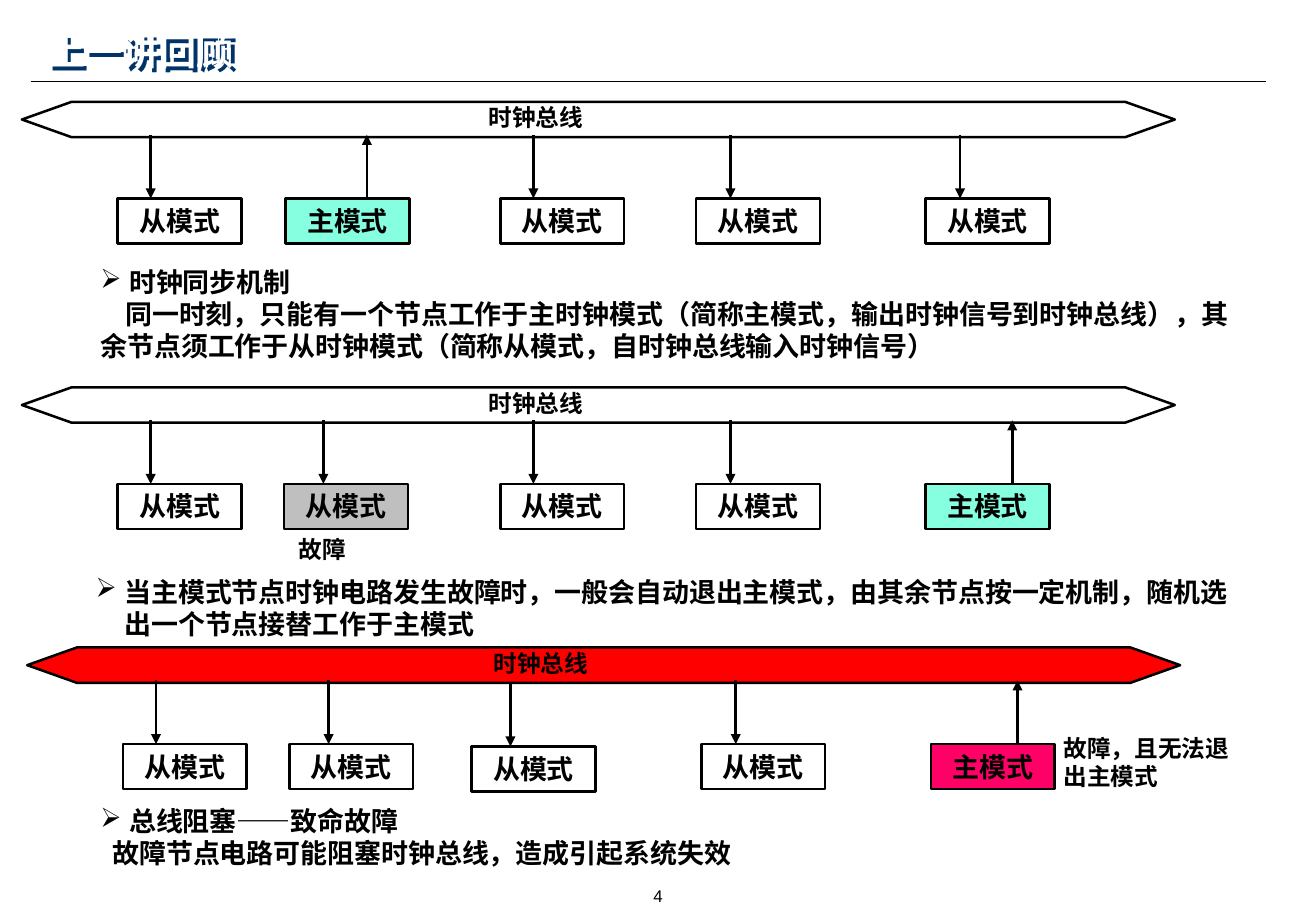
from dataclasses import dataclass
from typing import Optional

from lxml.etree import SubElement
from pptx import Presentation
from pptx.dml.color import RGBColor
from pptx.enum.shapes import MSO_CONNECTOR, MSO_SHAPE
from pptx.enum.text import MSO_ANCHOR, MSO_AUTO_SIZE, PP_ALIGN
from pptx.oxml.ns import qn
from pptx.util import Cm, Pt

BLACK = RGBColor(0x00, 0x00, 0x00)
WHITE = RGBColor(0xFF, 0xFF, 0xFF)
MASTER_GREEN = RGBColor(0x85, 0xFF, 0xE0)
FAULT_GREY = RGBColor(0xBF, 0xBF, 0xBF)
BLOCKED_RED = RGBColor(0xFF, 0x00, 0x00)
FAULT_PINK = RGBColor(0xFF, 0x00, 0x66)
TITLE_NAVY = RGBColor(0x00, 0x33, 0x66)

CJK_FONT = "Noto Sans CJK SC"
LATIN_FONT = "Arial"
SLAVE, MASTER = "从模式", "主模式"

# Lengths are in centimetres; node positions count from the left tip of the bus
BUS_WIDTH, BUS_HEIGHT = 24.1, 0.74
NODE_WIDTH, NODE_HEIGHT, NODE_DROP = 2.59, 0.94, 2.02
SIGNAL_DROP = 0.69
BULLET_INDENT = 0.6


@dataclass(frozen=True)
class Node:
    left: float
    signal: float
    mode: str = SLAVE
    fill: Optional[RGBColor] = None
    lower: float = 0


@dataclass(frozen=True)
class Bus:
    left: float
    top: float
    fill: RGBColor
    nodes: tuple[Node, ...]


@dataclass(frozen=True)
class Line:
    text: str
    bullet: bool = False
    indent: float = 0


@dataclass(frozen=True)
class Note:
    left: float
    top: float
    width: float
    height: float
    lines: tuple[Line, ...]
    size: int = 16
    align: PP_ALIGN = PP_ALIGN.LEFT
    side_margin: float = 0.25


FIRST = Node(2.0, 2.69)
THIRD = Node(10.0, 10.69)
FOURTH = Node(14.09, 14.81)

BUSES = (
    Bus(0.46, 2.13, WHITE, (
        FIRST, Node(5.51, 7.21, MASTER, MASTER_GREEN), THIRD, FOURTH,
        Node(18.89, 19.61))),
    Bus(0.46, 8.1, WHITE, (
        FIRST, Node(5.48, 6.3, fill=FAULT_GREY), THIRD, FOURTH,
        Node(18.89, 20.7, MASTER, MASTER_GREEN))),
    Bus(0.57, 13.54, BLOCKED_RED, (
        FIRST, Node(5.48, 6.3, fill=WHITE),
        Node(9.29, 10.1, fill=WHITE, lower=0.05), FOURTH,
        Node(18.89, 20.7, MASTER, FAULT_PINK))),
)

NOTES = (
    Note(1.85, 5.44, 24.41, 2.31, (
        Line("时钟同步机制", bullet=True),
        Line("同一时刻，只能有一个节点工作于主时钟模式（简称主模式，输出时钟信号到时钟总线），"
             "其余节点须工作于从时钟模式（简称从模式，自时钟总线输入时钟信号）", indent=0.52))),
    Note(1.75, 11.91, 24.41, 1.63, (
        Line("当主模式节点时钟电路发生故障时，一般会自动退出主模式，由其余节点按一定机制，"
             "随机选出一个节点接替工作于主模式", bullet=True),)),
    Note(1.85, 16.71, 25.65, 1.63, (
        Line("总线阻塞——致命故障", bullet=True),
        Line("故障节点电路可能阻塞时钟总线，造成引起系统失效", indent=0.25))),
    Note(4.65, 11.05, 4.19, 0.84, (Line("故障"),), 14, PP_ALIGN.CENTER, 0),
    Note(22.23, 15.21, 3.84, 1.45, (Line("故障，且无法退出主模式"),), 14, side_margin=0),
)


def format_text(paragraph, size: int, color: RGBColor = BLACK, bold: bool = True,
                latin: str = CJK_FONT) -> None:
    for run in paragraph.runs:
        run.font.size, run.font.bold = Pt(size), bold
        run.font.color.rgb = color
        run.font.name = latin
        SubElement(run.font._element, qn("a:ea"), typeface=CJK_FONT)


def set_paragraph(paragraph, line: Line, size: int, align: PP_ALIGN) -> None:
    paragraph.text = line.text
    paragraph.alignment = align
    paragraph.line_spacing = Pt(round(size * 1.2))
    format_text(paragraph, size)
    properties = paragraph._p.get_or_add_pPr()
    hanging = BULLET_INDENT if line.bullet else 0
    properties.set("marL", str(Cm(hanging)))
    properties.set("indent", str(Cm(line.indent - hanging)))
    if line.bullet:
        SubElement(properties, qn("a:buChar"), char="➢")


def add_note(slide, note: Note) -> None:
    box = slide.shapes.add_textbox(
        Cm(note.left), Cm(note.top), Cm(note.width), Cm(note.height))
    frame = box.text_frame
    frame.word_wrap = True
    frame.margin_left = frame.margin_right = Cm(note.side_margin)
    for index, line in enumerate(note.lines):
        paragraph = frame.add_paragraph() if index else frame.paragraphs[0]
        set_paragraph(paragraph, line, note.size, note.align)


def add_outlined(slide, kind: MSO_SHAPE, left: float, top: float, width: float,
                 height: float, fill: Optional[RGBColor]):
    shape = slide.shapes.add_shape(kind, Cm(left), Cm(top), Cm(width), Cm(height))
    shape.shadow.inherit = False
    shape.line.color.rgb, shape.line.width = BLACK, Pt(1.5)
    if fill is None:
        shape.fill.background()
    else:
        shape.fill.solid()
        shape.fill.fore_color.rgb = fill
    return shape


def add_line(slide, start: tuple[float, float], end: tuple[float, float],
             weight: float, arrow: bool = False) -> None:
    line = slide.shapes.add_connector(
        MSO_CONNECTOR.STRAIGHT, *(Cm(value) for value in start + end))
    line.line.color.rgb, line.line.width = BLACK, Pt(weight)
    if arrow:
        SubElement(line.line._get_or_add_ln(), qn("a:tailEnd"), type="triangle")
    SubElement(line._element.spPr, qn("a:effectLst"))


def add_node(slide, bus: Bus, node: Node) -> None:
    top = bus.top + NODE_DROP + node.lower
    box = add_outlined(slide, MSO_SHAPE.RECTANGLE, bus.left + node.left, top,
                       NODE_WIDTH, NODE_HEIGHT, node.fill)
    frame = box.text_frame
    frame.margin_left = frame.margin_right = 0
    frame.vertical_anchor = MSO_ANCHOR.MIDDLE
    set_paragraph(frame.paragraphs[0], Line(node.mode), 16, PP_ALIGN.CENTER)
    # The master drives the bus; slaves listen to it
    signal = bus.left + node.signal
    at_bus, at_node = (signal, bus.top + SIGNAL_DROP + node.lower), (signal, top)
    start, end = (at_node, at_bus) if node.mode == MASTER else (at_bus, at_node)
    add_line(slide, start, end, 1.5, arrow=True)


def add_bus(slide, bus: Bus) -> None:
    arrow = add_outlined(slide, MSO_SHAPE.LEFT_RIGHT_ARROW, bus.left, bus.top,
                         BUS_WIDTH, BUS_HEIGHT, bus.fill)
    arrow.adjustments[0], arrow.adjustments[1] = 1, 1.405
    add_note(slide, Note(bus.left + 9.09, bus.top - 0.1, 3.3, 0.84,
                         (Line("时钟总线"),), 14, PP_ALIGN.CENTER, 0))
    for node in bus.nodes:
        add_node(slide, bus, node)


def set_title(slide) -> None:
    title = slide.shapes.title
    title.left, title.top, title.width, title.height = Cm(0.76), Cm(0.43), Cm(27), Cm(1.27)
    frame = title.text_frame
    frame.text = "上一讲回顾"
    frame.auto_size = MSO_AUTO_SIZE.NONE
    frame.vertical_anchor = MSO_ANCHOR.MIDDLE
    frame.paragraphs[0].alignment = PP_ALIGN.LEFT
    format_text(frame.paragraphs[0], 22, WHITE, latin=LATIN_FONT)
    # White letters stand out through a navy shadow
    title.fill.background()
    effects = SubElement(title._element.spPr, qn("a:effectLst"))
    shadow = SubElement(effects, qn("a:outerShdw"), dist=str(Pt(2.83)),
                        dir="2700000", algn="ctr", rotWithShape="0")
    SubElement(shadow, qn("a:srgbClr"), val=str(TITLE_NAVY))


def add_page_number(slide) -> None:
    box = slide.shapes.add_textbox(Cm(9.4), Cm(18.42), Cm(8.71), Cm(0.64))
    frame = box.text_frame
    frame.margin_top = frame.margin_bottom = Cm(0.1)
    frame.text = "4"
    frame.paragraphs[0].alignment = PP_ALIGN.CENTER
    format_text(frame.paragraphs[0], 10, bold=False, latin=LATIN_FONT)


def main() -> None:
    deck = Presentation()
    deck.slide_width, deck.slide_height = Cm(27.51), Cm(19.05)
    slide = deck.slides.add_slide(deck.slide_layouts[5])
    # Heading and page number
    add_line(slide, (0.64, 1.7), (26.47, 1.7), 0.75)
    set_title(slide)
    add_page_number(slide)
    # Three bus states and their explanations
    for bus in BUSES:
        add_bus(slide, bus)
    for note in NOTES:
        add_note(slide, note)
    deck.save("out.pptx")


if __name__ == "__main__":
    main()
